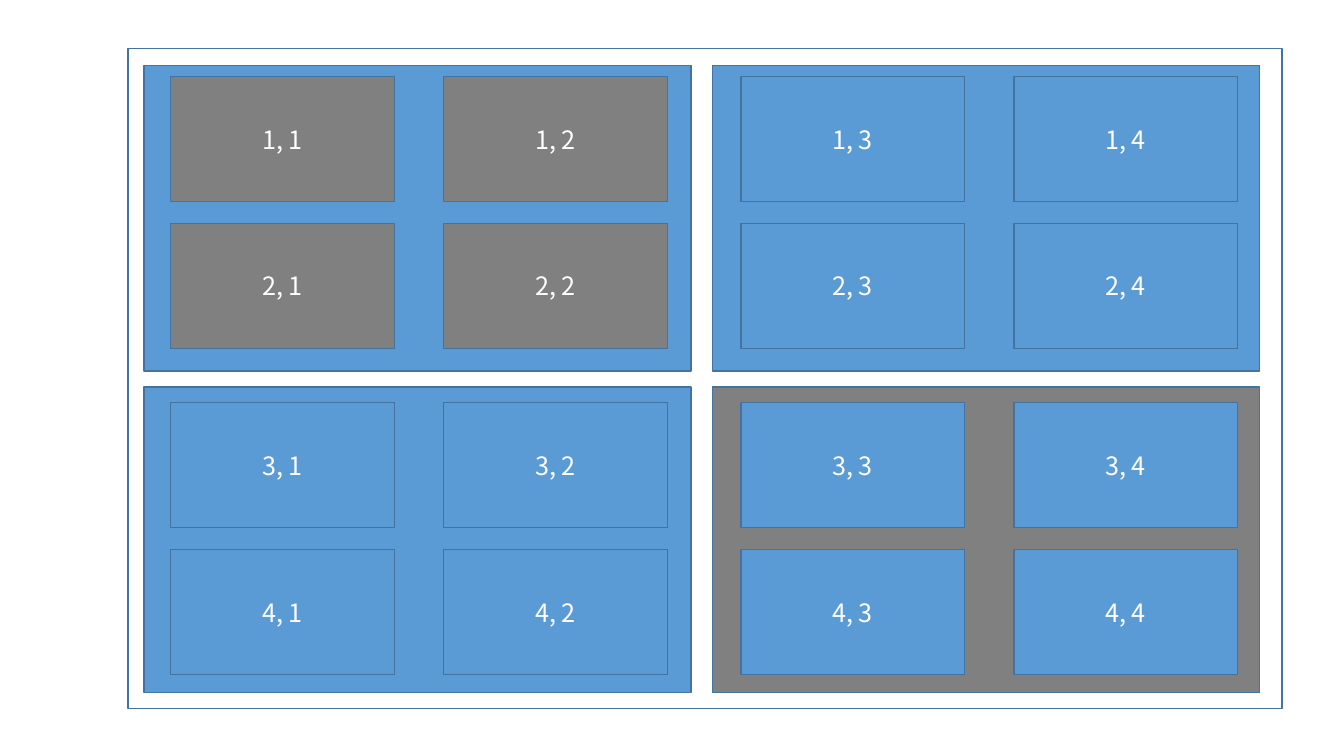
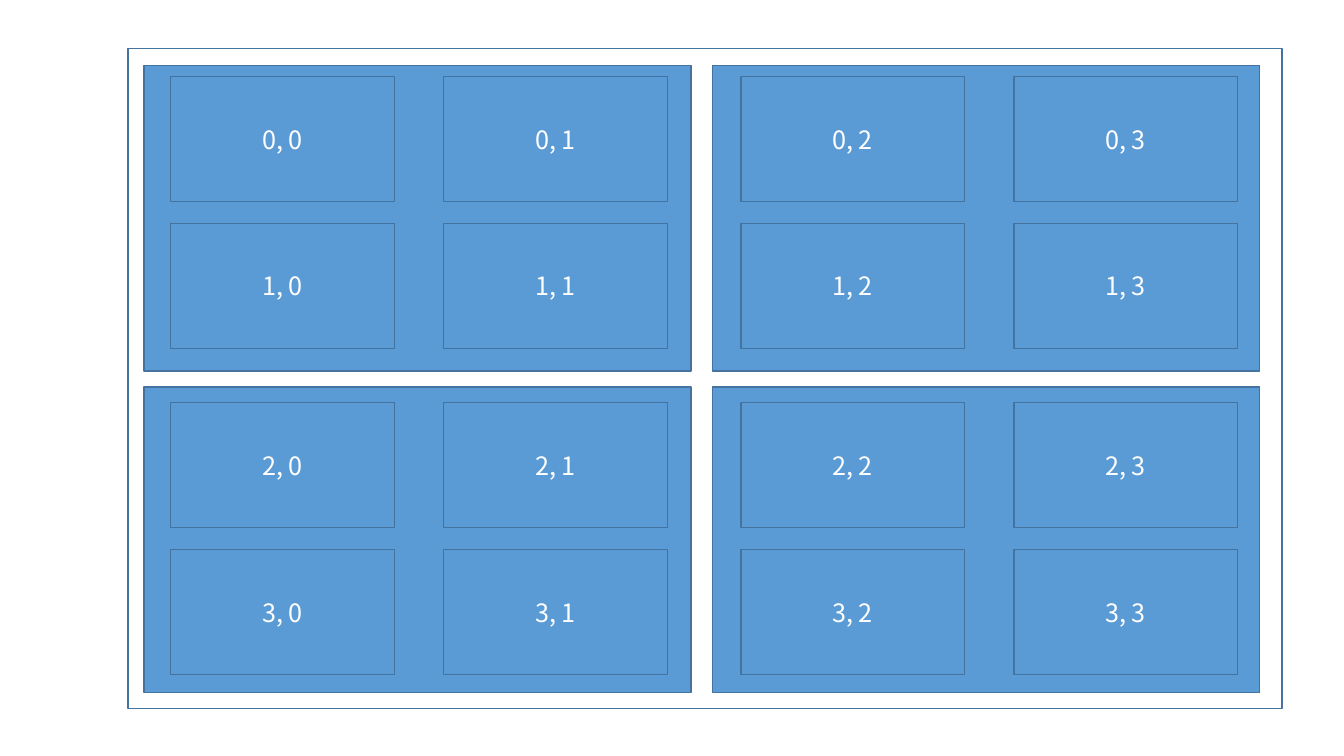
from dataclasses import dataclass
from itertools import product

from pptx import Presentation
from pptx.dml.color import RGBColor
from pptx.enum.shapes import MSO_SHAPE
from pptx.enum.text import MSO_ANCHOR, PP_ALIGN
from pptx.util import Cm, Pt


@dataclass(frozen=True)
class Theme:
    """Colours, font and type sizes of the deck."""
    paper: RGBColor = RGBColor(0xFF, 0xFF, 0xFF)
    plain: RGBColor = RGBColor(0x5B, 0x9B, 0xD5)
    shaded: RGBColor = RGBColor(0x80, 0x80, 0x80)
    outline: RGBColor = RGBColor(0x43, 0x73, 0x9E)
    outline_width: Pt = Pt(1)
    font: str = "Noto Sans CJK KR"
    label_size: Pt = Pt(18)


@dataclass(frozen=True)
class Grid:
    """Origin, item size and steps of a grid in centimetres."""
    left: float
    top: float
    width: float
    height: float
    step_x: float
    step_y: float
    inner_x: float = 0
    inner_y: float = 0

    def place(self, block, inner=(0, 0)):
        """Return the bounds of an item from its (row, column) pairs."""
        return (self.left + block[1] * self.step_x + inner[1] * self.inner_x,
                self.top + block[0] * self.step_y + inner[0] * self.inner_y,
                self.width, self.height)


FRAME = (3.23, 1.22, 29.08, 16.64)
BLOCKS = Grid(3.63, 1.65, 13.79, 7.7, 14.33, 8.1)
CELLS = Grid(4.3, 1.93, 5.64, 3.15, 14.37, 8.22, 6.88, 3.7)
QUADRANTS = list(product(range(2), repeat=2))


class GridDeck:
    """Draws block matrices on the current slide in one style."""

    def __init__(self, theme):
        """Open a widescreen deck."""
        self.theme = theme
        self.deck = Presentation()
        self.deck.slide_width = Cm(33.87)
        self.deck.slide_height = Cm(19.05)
        self.slide = None

    def new_slide(self):
        """Start a blank slide."""
        self.slide = self.deck.slides.add_slide(self.deck.slide_layouts[6])

    def panel(self, bounds, fill):
        """Add an outlined rectangle."""
        panel = self.slide.shapes.add_shape(
            MSO_SHAPE.RECTANGLE, *(Cm(length) for length in bounds))
        panel.shadow.inherit = False
        panel.fill.solid()
        panel.fill.fore_color.rgb = fill
        panel.line.color.rgb = self.theme.outline
        panel.line.width = self.theme.outline_width
        return panel

    def cell(self, bounds, fill, label):
        """Add a rectangle with a centred label."""
        frame = self.panel(bounds, fill).text_frame
        frame.vertical_anchor = MSO_ANCHOR.MIDDLE
        paragraph = frame.paragraphs[0]
        paragraph.alignment = PP_ALIGN.CENTER
        run = paragraph.add_run()
        run.text = label
        run.font.name = self.theme.font
        run.font.size = self.theme.label_size
        run.font.color.rgb = self.theme.paper

    def matrix(self, first_index, shaded_blocks=(), shaded_cells=()):
        """Add a framed 4 by 4 matrix, shading blocks or the cells of blocks."""
        theme = self.theme
        self.new_slide()
        self.panel(FRAME, theme.paper)
        for block in QUADRANTS:
            fill = theme.shaded if block in shaded_blocks else theme.plain
            self.panel(BLOCKS.place(block), fill)
        for block, inner in product(QUADRANTS, repeat=2):
            fill = theme.shaded if block in shaded_cells else theme.plain
            row, column = (2 * outer + offset + first_index
                           for outer, offset in zip(block, inner))
            self.cell(CELLS.place(block, inner), fill, f"{row}, {column}")


def main():
    """Build and save the deck."""
    grids = GridDeck(Theme())
    grids.matrix(1, shaded_blocks=[(1, 1)], shaded_cells=[(0, 0)])
    grids.matrix(0)
    grids.deck.save("out.pptx")


if __name__ == "__main__":
    main()
